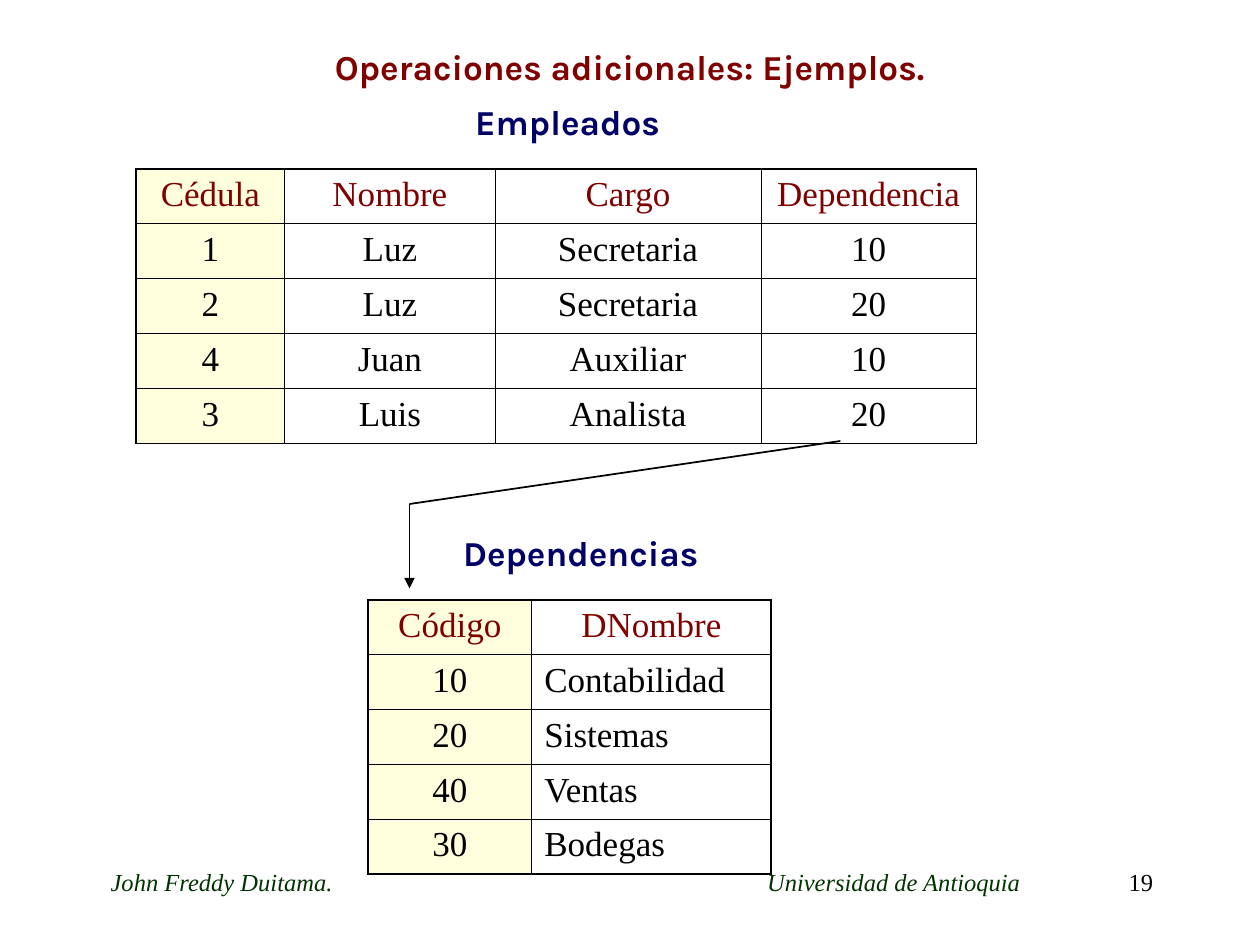
from lxml.etree import SubElement
from pptx import Presentation
from pptx.dml.color import RGBColor
from pptx.enum.shapes import MSO_CONNECTOR
from pptx.enum.text import MSO_ANCHOR, MSO_AUTO_SIZE, PP_ALIGN as Align
from pptx.oxml.ns import qn
from pptx.util import Inches, Pt

SERIF, SANS = "Times New Roman", "Karla"
MAROON, NAVY, GREEN, BLACK, CREAM = "800000", "000066", "003300", "000000", "FFFFDD"
THIN, THICK = 0.45, 1.08
TABLE_HEIGHT = 2.18

EMPLOYEES = [
    ("Cédula", "Nombre", "Cargo", "Dependencia"),
    ("1", "Luz", "Secretaria", "10"),
    ("2", "Luz", "Secretaria", "20"),
    ("4", "Juan", "Auxiliar", "10"),
    ("3", "Luis", "Analista", "20"),
]
DEPARTMENTS = [
    ("Código", "DNombre"),
    ("10", "Contabilidad"),
    ("20", "Sistemas"),
    ("40", "Ventas"),
    ("30", "Bodegas"),
]


def rgb(value):
    return RGBColor.from_string(value)


def write(frame, text, size=20, font=SERIF, color=BLACK, bold=False,
          italic=False, align=Align.CENTER):
    """Put one formatted paragraph in a text frame."""
    paragraph = frame.paragraphs[0]
    paragraph.alignment = align
    run = paragraph.add_run()
    run.text = text
    run.font.size, run.font.name = Pt(size), font
    run.font.bold, run.font.italic = bold, italic
    run.font.color.rgb = rgb(color)
    return paragraph


def add_text(slide, text, left, top, width, height, **text_format):
    box = slide.shapes.add_textbox(*map(Inches, (left, top, width, height)))
    box.text_frame.word_wrap = True
    return write(box.text_frame, text, **text_format)


def add_title(slide, text, left, top, width, height):
    title = slide.shapes.title
    title.left, title.top, title.width, title.height = map(
        Inches, (left, top, width, height))
    title.text_frame.auto_size = MSO_AUTO_SIZE.NONE
    title.text_frame.vertical_anchor = MSO_ANCHOR.MIDDLE
    write(title.text_frame, text, font=SANS, color=MAROON, bold=True)


def add_tab_stop(paragraph, position):
    tabs = SubElement(paragraph._p.get_or_add_pPr(), qn("a:tabLst"))
    SubElement(tabs, qn("a:tab"), pos=str(Inches(position)), algn="l")


def set_borders(cell, outer_sides):
    """Draw thick lines on the table's outer sides, thin ones elsewhere."""
    properties = cell._tc.get_or_add_tcPr()
    for side in ("L", "R", "T", "B"):
        width = THICK if side in outer_sides else THIN
        line = SubElement(properties, qn(f"a:ln{side}"), w=str(Pt(width)))
        fill = SubElement(line, qn("a:solidFill"))
        SubElement(fill, qn("a:srgbClr"), val=BLACK)


def add_key_table(slide, rows, left, top, widths, body_align=Align.CENTER):
    """Add a table with maroon headings and a cream key column."""
    last_row, last_column = len(rows) - 1, len(widths) - 1
    table = slide.shapes.add_table(
        len(rows), len(widths), Inches(left), Inches(top),
        Inches(sum(widths)), Inches(TABLE_HEIGHT)).table
    table.first_row = table.horz_banding = False
    for column, width in zip(table.columns, widths):
        column.width = Inches(width)

    for r, row in enumerate(rows):
        for c, text in enumerate(row):
            cell = table.cell(r, c)
            is_key, is_heading = c == 0, r == 0
            edges = {"L": is_key, "R": c == last_column,
                     "T": is_heading, "B": r == last_row}
            set_borders(cell, [side for side, outer in edges.items() if outer])
            if is_key:
                cell.fill.solid()
                cell.fill.fore_color.rgb = rgb(CREAM)
            else:
                cell.fill.background()
            write(cell.text_frame, text,
                  color=MAROON if is_heading else BLACK,
                  align=Align.CENTER if is_key or is_heading else body_align)


def add_line(slide, start, end, arrow=False):
    connector = slide.shapes.add_connector(
        MSO_CONNECTOR.STRAIGHT, *map(Inches, (*start, *end)))
    connector.line.color.rgb = rgb(BLACK)
    connector.line.width = Pt(1)
    if arrow:
        SubElement(connector.line._get_or_add_ln(), qn("a:tailEnd"), type="triangle")
    SubElement(connector._element.spPr, qn("a:effectLst"))


def main():
    presentation = Presentation()
    presentation.slide_width, presentation.slide_height = Inches(10), Inches(7.5)
    slide = presentation.slides.add_slide(presentation.slide_layouts[5])

    # Footer: author and university share a line, number at the right
    footer = add_text(slide, "John Freddy Duitama.\tUniversidad de Antioquia",
                      0.78, 6.83, 7.47, 0.5, size=14, color=GREEN,
                      italic=True, align=Align.LEFT)
    add_tab_stop(footer, 5.21)
    add_text(slide, "19", 8.25, 6.83, 1, 0.5, size=14, align=Align.RIGHT)

    add_title(slide, "Operaciones adicionales: Ejemplos.", 0.78, 0.31, 8.44, 0.44)

    # Tables with their headings
    heading = {"font": SANS, "color": NAVY, "bold": True}
    add_key_table(slide, EMPLOYEES, 1.08, 1.34, (1.18, 1.67, 2.11, 1.71))
    add_text(slide, "Empleados", 2.92, 0.75, 3.17, 0.44, **heading)
    add_key_table(slide, DEPARTMENTS, 2.92, 4.76, (1.3, 1.9), Align.JUSTIFY)
    add_text(slide, "Dependencias", 3.36, 4.17, 2.5, 0.44, **heading)

    # Foreign key: from the Dependencia column down to Código
    corner = (3.25, 4)
    add_line(slide, (6.67, 3.5), corner)
    add_line(slide, corner, (3.25, 4.67), arrow=True)

    presentation.save("out.pptx")


if __name__ == "__main__":
    main()
